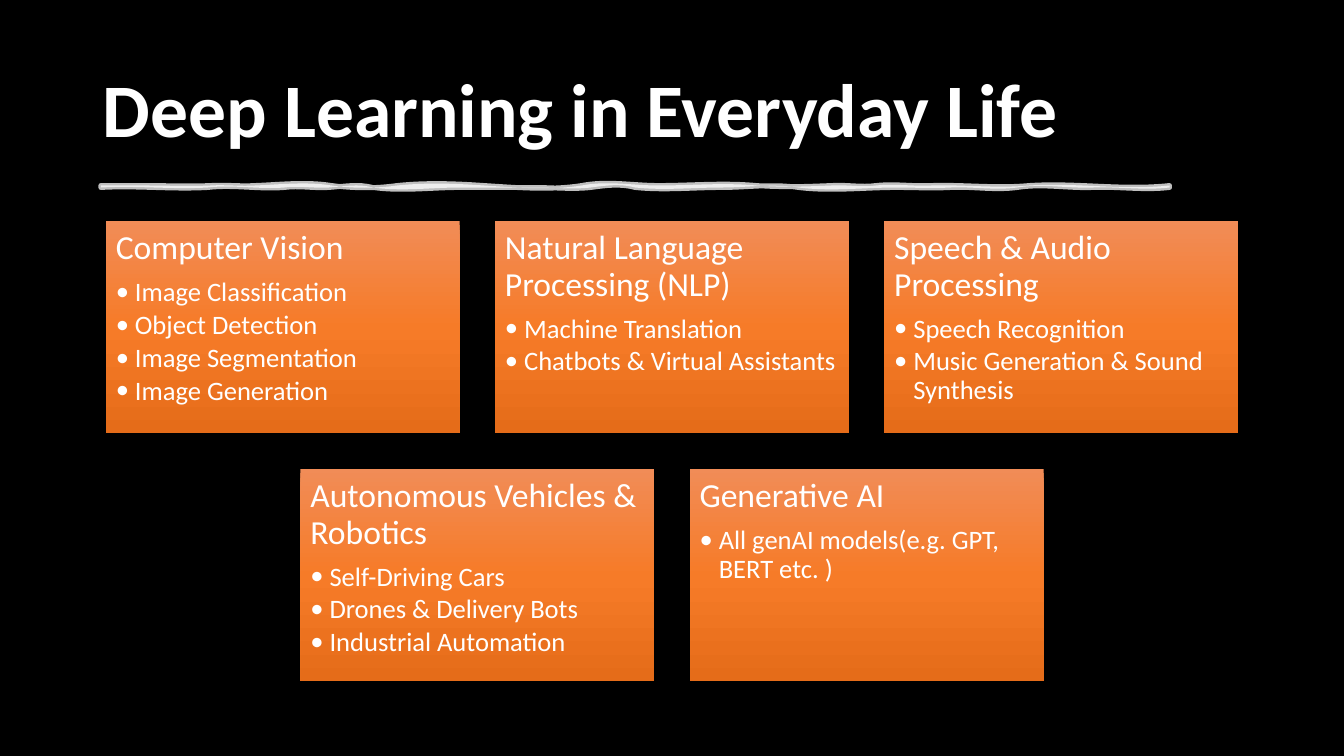
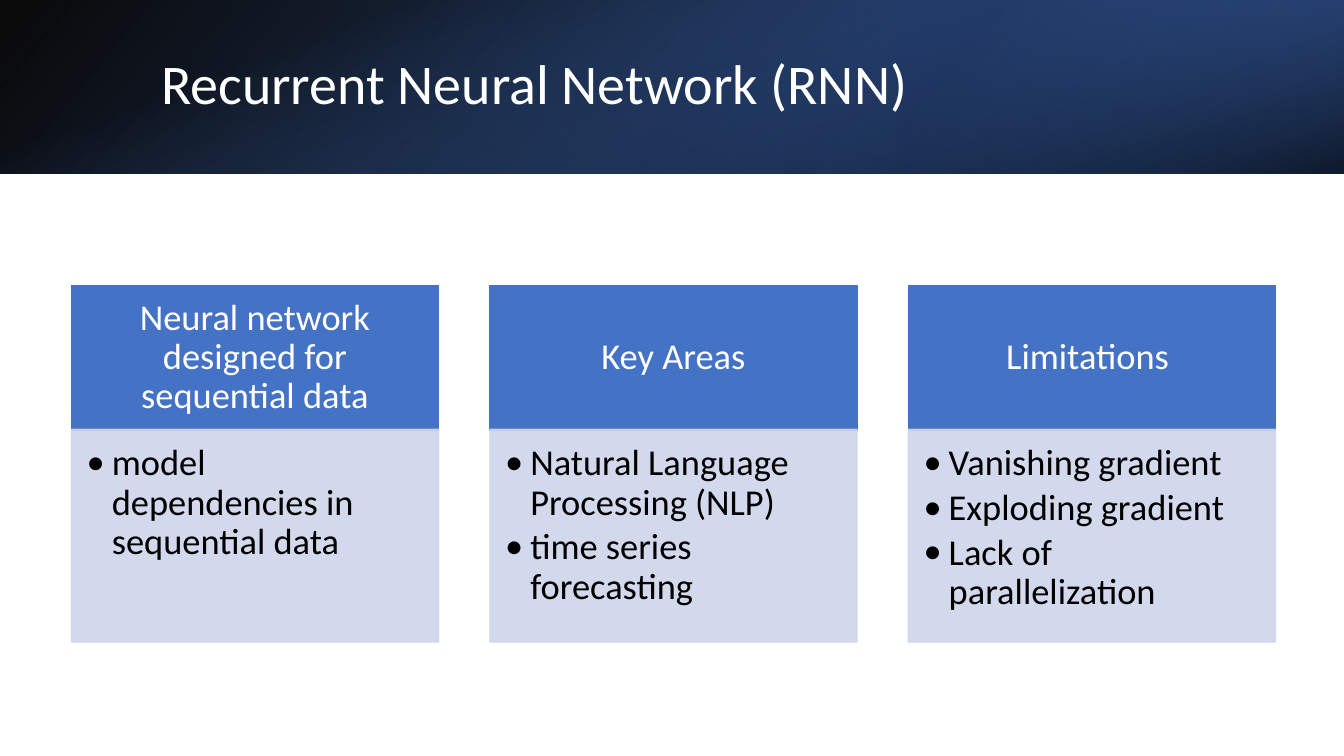
from lxml import etree
from pptx import Presentation
from pptx.dml.color import RGBColor
from pptx.enum.shapes import MSO_SHAPE
from pptx.enum.text import MSO_ANCHOR, MSO_AUTO_SIZE, PP_ALIGN
from pptx.oxml import parse_xml
from pptx.oxml.ns import nsdecls, qn
from pptx.util import Inches, Pt

FONT = "Calibri"
COLORS = {
    "white": "FFFFFF", "black": "000000",
    "blue": "4472C4", "mid_blue": "2F5597", "navy": "203864", "pale": "CFD5EA",
    "orange_light": "F18C57", "orange": "F67B28", "orange_dark": "E56C19",
}
SLIDE_W, SLIDE_H = 13.33, 7.5


def add_box(slide, left, top, width, height, fill, angle=0, insets=(0.1,) * 4):
    """Draw a rectangle; fill is a colour or a list of (position, colour, opacity)."""
    box = slide.shapes.add_shape(MSO_SHAPE.RECTANGLE, Inches(left), Inches(top),
                                 Inches(width), Inches(height))
    box.shadow.inherit = False
    if isinstance(fill, str):
        box.fill.solid()
        box.fill.fore_color.rgb = RGBColor.from_string(COLORS[fill])
        box.line.color.rgb = RGBColor.from_string(COLORS[fill])
        box.line.width = Pt(1)
    else:
        stops = "".join(
            f'<a:gs pos="{position * 1000}"><a:srgbClr val="{COLORS[color]}">'
            f'<a:alpha val="{opacity * 1000}"/></a:srgbClr></a:gs>'
            for position, color, opacity in fill)
        box.line.fill.background()
        box._element.spPr.find(qn("a:prstGeom")).addnext(parse_xml(
            f'<a:gradFill {nsdecls("a")} rotWithShape="1"><a:gsLst>{stops}</a:gsLst>'
            f'<a:lin ang="{angle * 60000}" scaled="0"/></a:gradFill>'))
    frame = box.text_frame
    frame.word_wrap = True
    frame.vertical_anchor = MSO_ANCHOR.TOP
    (frame.margin_left, frame.margin_top,
     frame.margin_right, frame.margin_bottom) = map(Inches, insets)
    return box


def add_text(frame, text, size, color="white", bold=False, align=PP_ALIGN.LEFT,
             after=0, bullet_indent=0):
    """Write one paragraph; after is a share of the text size."""
    paragraph = frame.paragraphs[0]
    if paragraph.runs:
        paragraph = frame.add_paragraph()
    if bullet_indent:
        paragraph.level = 1
        properties = paragraph._p.get_or_add_pPr()
        properties.set("marL", str(Inches(bullet_indent)))
        properties.set("indent", str(-Inches(bullet_indent)))
        etree.SubElement(properties, qn("a:buFont")).set("typeface", FONT)
        etree.SubElement(properties, qn("a:buChar")).set("char", "•")
    paragraph.alignment = align
    paragraph.line_spacing = 0.9
    paragraph.space_before = Pt(0)
    paragraph.space_after = Pt(size * after)
    run = paragraph.add_run()
    run.text = text
    run.font.name = FONT
    run.font.size = Pt(size)
    run.font.bold = bold
    run.font.color.rgb = RGBColor.from_string(COLORS[color])


prs = Presentation()
prs.slide_width, prs.slide_height = Inches(SLIDE_W), Inches(SLIDE_H)

# Slides with their titles
titles = [
    ("Deep Learning in Everyday Life", (0.92, 0.4, 11.5, 1.45), 54, True),
    ("Recurrent Neural Network (RNN)", (1.5, 0.38, 10.98, 0.96), 40, False),
]
for text, place, size, bold in titles:
    slide = prs.slides.add_slide(prs.slide_layouts[5])
    title = slide.shapes.title
    title.left, title.top, title.width, title.height = map(Inches, place)
    title.text_frame.auto_size = MSO_AUTO_SIZE.NONE
    title.text_frame.word_wrap = True
    title.text_frame.vertical_anchor = MSO_ANCHOR.MIDDLE
    add_text(title.text_frame, text, size, bold=bold)
everyday, rnn = prs.slides

# Everyday life: black backdrop
backdrop = add_box(everyday, 0, 0, SLIDE_W, SLIDE_H, "black")
backdrop.line.fill.background()

# RNN: title band in three gradient layers
BAND_H = 1.72
band = add_box(rnn, 0, 0, SLIDE_W, BAND_H, [(0, "black", 96), (100, "mid_blue", 100)], 140)
glow = add_box(rnn, 8.89, 0, 4.44, BAND_H, [(19, "navy", 68), (100, "blue", 79)], 320)
glow.rotation = 180
for layer in (band, glow):
    layer._element.spPr.find(qn("a:xfrm")).set("flipH", "1")
shade = add_box(rnn, (SLIDE_W - BAND_H) / 2, (BAND_H - SLIDE_W) / 2, BAND_H, SLIDE_W,
                [(23, "blue", 0), (99, "black", 74)], 340)
shade.rotation = 90

# Titles in front of the backdrop and the band
for slide in (everyday, rnn):
    slide.shapes._spTree.append(slide.shapes.title._element)

# Everyday life: brush stroke under the title, as waves (end x, two bends)
top_edge = [
    (1.44, 0, 0), (2.09, 0, 0.01), (2.53, -0.01, 0.01), (3.29, -0.01, -0.04),
    (3.94, 0.03, 0.03), (4.8, -0.03, -0.02), (5.77, 0.02, 0.05), (6.53, -0.05, 0),
    (7.5, 0, -0.03), (8.25, 0.02, 0.01), (8.69, -0.01, 0.02), (9.24, -0.02, 0.01),
    (10.21, -0.01, 0.03), (11.6, -0.03, 0.05),
]
bottom_edge = [
    (11.6, 0, 0), (10.84, 0.03, -0.01), (10.09, 0.01, -0.04), (9.43, 0.03, -0.01),
    (8.89, 0.01, 0), (7.92, 0, 0.04), (7.16, -0.04, 0), (6.3, 0, 0.03),
    (5.86, -0.04, -0.02), (5.32, 0.02, 0), (4.56, 0, 0), (3.7, 0, 0.04),
    (3.26, -0.04, -0.01), (2.82, 0.01, -0.02), (2.06, 0.02, -0.03), (1, 0.02, -0.02),
]
STROKE_LEFT, STROKE_TOP, STROKE_BOTTOM = 1, 1.84, 1.86
waves = [(x, edge_y, bends) for edge_y, edge in ((STROKE_TOP, top_edge),
                                                 (STROKE_BOTTOM, bottom_edge))
         for x, *bends in edge]
builder = everyday.shapes.build_freeform(Inches(STROKE_LEFT), Inches(STROKE_TOP))
builder.add_line_segments([(Inches(x), Inches(y)) for x, y, _ in waves], close=True)
stroke = builder.convert_to_shape()
stroke.shadow.inherit = False
stroke.fill.solid()
stroke.line.width = Pt(3.5)
for paint in (stroke.fill.fore_color, stroke.line.color):
    paint.rgb = RGBColor.from_string(COLORS["white"])
for color in stroke._element.spPr.iter(qn("a:srgbClr")):
    etree.SubElement(color, qn("a:alpha")).set("val", "75000")

# Bend each straight segment of the stroke into its wave
start_x = STROKE_LEFT
for segment, (end_x, y, bends) in zip(list(stroke._element.iter(qn("a:lnTo"))), waves):
    curve = etree.Element(qn("a:cubicBezTo"))
    for share, bend in zip((1 / 3, 2 / 3, 1), (*bends, 0)):
        point = etree.SubElement(curve, qn("a:pt"))
        point.set("x", str(Inches(start_x + (end_x - start_x) * share - STROKE_LEFT)))
        point.set("y", str(Inches(y + bend - STROKE_TOP)))
    segment.getparent().replace(segment, curve)
    start_x = end_x

# Everyday life: centred rows of cards
card_rows = [
    [("Computer Vision", ["Image Classification", "Object Detection",
                          "Image Segmentation", "Image Generation"]),
     ("Natural Language Processing (NLP)", ["Machine Translation",
                                            "Chatbots & Virtual Assistants"]),
     ("Speech & Audio Processing", ["Speech Recognition",
                                    "Music Generation & Sound Synthesis"])],
    [("Autonomous Vehicles & Robotics", ["Self-Driving Cars", "Drones & Delivery Bots",
                                         "Industrial Automation"]),
     ("Generative AI", ["All genAI models(e.g. GPT, BERT etc. )"])],
]
CARD_W, CARD_H, CARD_GAP = 3.51, 2.11, 0.35
card_fill = [(0, "orange_light", 100), (50, "orange", 100), (100, "orange_dark", 100)]
for row, cards in enumerate(card_rows):
    row_left = (SLIDE_W - len(cards) * (CARD_W + CARD_GAP) + CARD_GAP) / 2
    for column, (heading, examples) in enumerate(cards):
        card = add_box(everyday, row_left + column * (CARD_W + CARD_GAP),
                       2.19 + row * (CARD_H + CARD_GAP), CARD_W, CARD_H, card_fill, 90)
        add_text(card.text_frame, heading, 24, after=0.35)
        for example in examples:
            add_text(card.text_frame, example, 19, after=0.15, bullet_indent=0.19)

# RNN: columns with a heading and a panel
columns = [
    ("Neural network designed for sequential data",
     ["model dependencies in sequential data"]),
    ("Key Areas", ["Natural Language Processing (NLP)", "time series forecasting"]),
    ("Limitations ", ["Vanishing gradient", "Exploding gradient",
                      "Lack of parallelization"]),
]
COLUMN_W, COLUMN_PITCH = 3.64, 4.15
for index, (heading, facts) in enumerate(columns):
    left = 0.71 + index * COLUMN_PITCH
    header = add_box(rnn, left, 2.83, COLUMN_W, 1.44, "blue",
                     insets=(0.2, 0.12, 0.2, 0.12))
    header.text_frame.vertical_anchor = MSO_ANCHOR.MIDDLE
    add_text(header.text_frame, heading, 26, align=PP_ALIGN.CENTER)
    panel = add_box(rnn, left, 4.26, COLUMN_W, 2.11, "pale",
                    insets=(0.15, 0.15, 0.2, 0.23))
    for color in panel._element.spPr.iter(qn("a:srgbClr")):
        etree.SubElement(color, qn("a:alpha")).set("val", "90000")
    for fact in facts:
        add_text(panel.text_frame, fact, 26, "black", after=0.15, bullet_indent=0.25)

prs.save("out.pptx")
